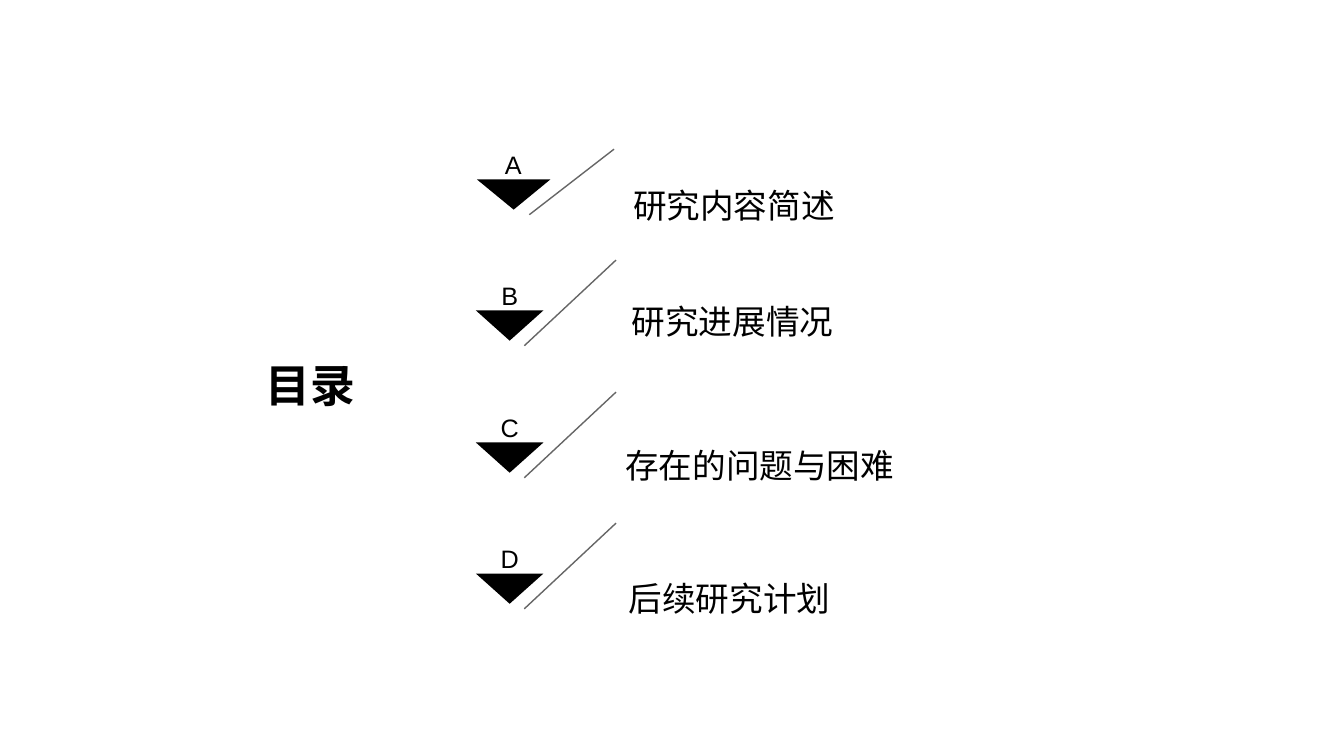
"""Build a contents slide with four lettered sections."""
from lxml.etree import SubElement
from pptx import Presentation
from pptx.dml.color import RGBColor
from pptx.enum.shapes import MSO_CONNECTOR
from pptx.enum.text import MSO_ANCHOR, MSO_AUTO_SIZE, PP_ALIGN
from pptx.oxml.ns import qn
from pptx.util import Inches, Pt

COLORS = {"ink": "000000", "rule": "666666"}
FONT = "Arial"


def write(sp, text, size, anchor=MSO_ANCHOR.MIDDLE, bold=False, spacing=1.0):
    tf = sp.text_frame
    tf.word_wrap = True
    tf.auto_size = MSO_AUTO_SIZE.NONE
    tf.vertical_anchor = anchor
    p = tf.paragraphs[0]
    p.alignment = PP_ALIGN.CENTER
    p.line_spacing = spacing
    r = p.add_run()
    r.text = text
    r.font.name = FONT
    r.font.size = Pt(size)
    r.font.bold = bold
    r.font.color.rgb = RGBColor.from_string(COLORS["ink"])
    return tf


prs = Presentation()
prs.slide_width, prs.slide_height = Inches(13.33), Inches(7.5)
s = prs.slides.add_slide(prs.slide_layouts[5])

title = s.shapes.title
title.left, title.top = Inches(1.83), Inches(1.29)
title.width, title.height = Inches(2.5), Inches(5.06)
write(title, "目录", 32, bold=True)

marker_height, letter_height = 0.3, 0.69
sections = [
    ("A", 1.78, "研究内容简述", (6.11, 1.57, 2.34, 0.92), 1.0),
    ("B", 3.08, "研究进展情况", (6.11, 2.76, 2.31, 0.93), 0.8),
    ("C", 4.39, "存在的问题与困难", (6.09, 4.23, 2.89, 0.77), 1.0),
    ("D", 5.69, "后续研究计划", (6.11, 5.55, 2.25, 0.77), 1.0),
]

for i, (letter, top, heading, box, spacing) in enumerate(sections):
    left, width, letter_width = (4.72, 0.67, 0.71) if i else (4.73, 0.73, 0.78)
    slash = (6.11, top - 0.5, 5.2, top + 0.35) if i else (6.09, 1.48, 5.25, 2.13)

    builder = s.shapes.build_freeform(Inches(left), Inches(top))
    builder.add_line_segments([
        (Inches(left + width), Inches(top)),
        (Inches(left + width / 2), Inches(top + marker_height)),
    ])
    marker = builder.convert_to_shape()
    marker.shadow.inherit = False
    marker.fill.solid()
    marker.fill.fore_color.rgb = RGBColor.from_string(COLORS["ink"])
    marker.line.fill.background()

    sp = s.shapes.add_textbox(Inches(4.7), Inches(top - letter_height),
                              Inches(letter_width), Inches(letter_height))
    tf = write(sp, letter, 18, MSO_ANCHOR.BOTTOM)
    tf.margin_left = tf.margin_right = tf.margin_top = tf.margin_bottom = 0

    line = s.shapes.add_connector(MSO_CONNECTOR.STRAIGHT, *[Inches(v) for v in slash])
    line.line.color.rgb = RGBColor.from_string(COLORS["rule"])
    line.line.width = Pt(1)
    SubElement(line._element.spPr, qn("a:effectLst"))

    sp = s.shapes.add_textbox(*[Inches(v) for v in box])
    write(sp, heading, 24, spacing=spacing)

prs.save("out.pptx")
